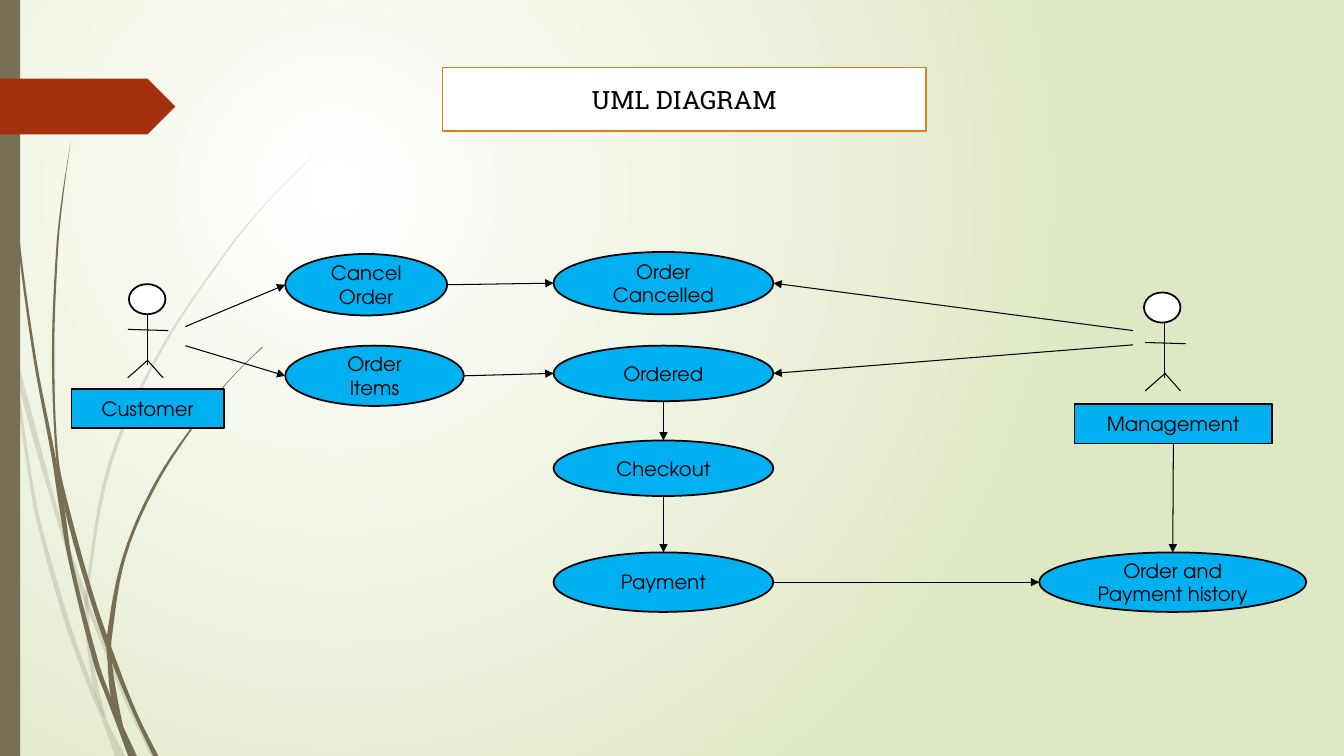
from dataclasses import dataclass

from lxml.etree import SubElement
from pptx import Presentation
from pptx.dml.color import RGBColor as Rgb
from pptx.enum.shapes import MSO_CONNECTOR as Connector, MSO_SHAPE as Shape
from pptx.enum.text import MSO_ANCHOR as Anchor, PP_ALIGN as Align
from pptx.oxml.ns import qn
from pptx.util import Cm, Pt


@dataclass(frozen=True)
class Theme:
    ink: str = "000000"
    paper: str = "FFFFFF"
    meadow: str = "DFE8C4"
    stem: str = "766F54"
    ribbon: str = "A53010"
    frame: str = "DE7E18"
    node: str = "00B0F0"
    title_font: str = "Roboto Slab"
    node_font: str = "TeX Gyre Adventor"
    title_size: int = 18
    node_size: int = 14
    outline: float = 1.25
    thin: float = 0.75


THEME = Theme()
TOP, LEFT, BOTTOM, RIGHT = range(4)

FAINT_BLADES = [
    [(7.16, 0, 0), (8.18, 0.13, 0.23), (8.89, 0.27, 0.3), (9.55, 0.36, 0.43),
     (11.94, 0.71, 0.79), (13.21, 0.94, 1.04), (15.75, 1.65, 1.78),
     (17.35, 2.24, 2.36), (18.14, 2.57, 2.69), (19.05, 2.9, 3.15)],
    [(8.76, 0.36, 0.36), (9.55, 0.43, 0.57), (13.23, 1.47, 1.57),
     (14.99, 2.06, 2.18), (15.44, 2.24, 2.34), (17.6, 3.12, 3.23),
     (19.05, 3.81, 3.94)],
    [(3.89, 7.92, 7.92), (4.45, 7.34, 7.37), (5, 6.81, 6.83), (6.22, 5.77, 5.82),
     (8.84, 4.01, 4.08), (11.71, 2.72, 2.81), (14.83, 2.16, 2.24),
     (15.49, 2.13, 2.24), (16.41, 2.21, 2.31), (17.35, 2.36, 2.48),
     (18.06, 2.59, 2.67)],
]
DARK_BLADES = [
    [(0, 0.08, 0.1), (1.22, 0.1, 0.13), (2.79, 0.18, 0.2), (5.92, 0.43, 0.48),
     (9.02, 0.84, 0.91), (11.51, 1.3, 1.4), (12.83, 1.5, 1.63),
     (14.15, 1.73, 1.83), (16.71, 2.36, 2.49), (17.55, 2.67, 2.79),
     (18.29, 2.95, 3.1), (19.05, 3.23, 3.45)],
    [(3.58, 1.78, 1.78), (4.9, 1.57, 1.6), (6.22, 1.42, 1.47),
     (8.86, 1.31, 1.37), (11.51, 1.41, 1.47), (12.83, 1.63, 1.75),
     (15.01, 2.24, 2.36), (16.48, 2.74, 2.87), (17.96, 3.35, 3.45),
     (19.05, 3.86, 3.99)],
    [(8.74, 6.6, 6.63), (9.47, 5.87, 5.89), (10.29, 5.18, 5.22),
     (12.07, 3.95, 4.03), (14, 3.1, 3.18), (16.05, 2.69, 2.82),
     (16.66, 2.71, 2.82), (17.55, 2.79, 2.95), (18.29, 3.02, 3.1)],
]


def paint_background(page):
    fill = page.background.fill
    fill.gradient()
    for stop, color in zip(fill.gradient_stops, (THEME.paper, THEME.meadow)):
        stop.color.rgb = Rgb.from_string(color)
    gradient = page.background._cSld.find(".//" + qn("a:gradFill"))
    gradient.remove(gradient.find(qn("a:lin")))
    circle = SubElement(gradient, qn("a:path"), path="circle")
    SubElement(circle, qn("a:fillToRect"), l="50000", t="50000", r="100000", b="100000")


def style(shape, fill, line=None):
    shape.shadow.inherit = False
    shape.fill.solid()
    shape.fill.fore_color.rgb = Rgb.from_string(fill)
    if line:
        shape.line.color.rgb = Rgb.from_string(line)
        shape.line.width = Pt(THEME.outline)
    else:
        shape.line.fill.background()


def smooth(rows, steps=6):
    padded = [rows[0], *rows, rows[-1]]
    for before, start, end, after in zip(padded, padded[1:], padded[2:], padded[3:]):
        slope_in = [(e - b) / (end[0] - before[0]) for b, e in zip(before, end)]
        slope_out = [(a - s) / (after[0] - start[0]) for s, a in zip(start, after)]
        height = end[0] - start[0]
        for step in range(steps):
            t = step / steps
            yield [
                (2 * t**3 - 3 * t**2 + 1) * s + (3 * t**2 - 2 * t**3) * e
                + height * ((t**3 - 2 * t**2 + t) * m + (t**3 - t**2) * n)
                for s, e, m, n in zip(start, end, slope_in, slope_out)
            ]
    yield rows[-1]


def add_blade(page, rows, opacity=100):
    curve = list(smooth(rows))
    outline = [(Cm(left), Cm(y)) for y, left, right in curve]
    outline += [(Cm(right), Cm(y)) for y, left, right in reversed(curve)]
    builder = page.shapes.build_freeform(*outline[0])
    builder.add_line_segments(outline[1:], close=True)
    blade = builder.convert_to_shape()
    style(blade, THEME.stem)
    if opacity < 100:
        color = blade._element.spPr.find(".//" + qn("a:srgbClr"))
        SubElement(color, qn("a:alpha"), val=str(opacity * 1000))


def add_form(page, kind, left, top, width, height, fill, line=None):
    form = page.shapes.add_shape(kind, Cm(left), Cm(top), Cm(width), Cm(height))
    style(form, fill, line)
    return form


def write(shape, text, font=THEME.node_font, size=THEME.node_size, color=THEME.ink):
    frame = shape.text_frame
    frame.word_wrap = True
    frame.vertical_anchor = Anchor.MIDDLE
    para = frame.paragraphs[0]
    para.alignment = Align.CENTER
    span = para.add_run()
    span.text = text
    span.font.name = font
    span.font.size = Pt(size)
    span.font.color.rgb = Rgb.from_string(color)


def add_node(page, text, left, top, width, height, kind=Shape.OVAL):
    node = add_form(page, kind, left, top, width, height, THEME.node, THEME.ink)
    write(node, text)
    return node


def add_line(page, start, end, arrow=False):
    line = page.shapes.add_connector(Connector.STRAIGHT, *start, *end)
    line.line.color.rgb = Rgb.from_string(THEME.ink)
    line.line.width = Pt(THEME.thin)
    if arrow:
        SubElement(line.line._get_or_add_ln(), qn("a:tailEnd"), type="triangle")
    SubElement(line._element.spPr, qn("a:effectLst"))
    return line


def side_point(shape, side):
    x = {LEFT: 0, RIGHT: shape.width}.get(side, shape.width // 2)
    y = {TOP: 0, BOTTOM: shape.height}.get(side, shape.height // 2)
    return shape.left + x, shape.top + y


def can_join(shape, side):
    return side == TOP or shape.auto_shape_type == Shape.RECTANGLE


def link(page, source, source_side, target, target_side):
    arrow = add_line(page, side_point(source, source_side),
                     side_point(target, target_side), arrow=True)
    if can_join(source, source_side):
        arrow.begin_connect(source, source_side)
    if can_join(target, target_side):
        arrow.end_connect(target, target_side)


def add_actor(page, left, top, shift_x=0, shift_y=0):
    add_form(page, Shape.OVAL, left, top, 0.92, 0.76, THEME.paper, THEME.ink)
    x, y = left + shift_x, top + shift_y
    neck = (0.46, 0.76 - shift_y)
    limbs = [(neck, (0.46, 2.03)), ((-0.03, 2.36), (0.48, 1.91)),
             ((0.46, 1.91), (0.86, 2.36)), ((-0.03, 1.14), (0.99, 1.17))]
    for limb in limbs:
        add_line(page, *[(Cm(x + dx), Cm(y + dy)) for dx, dy in limb])


def main():
    deck = Presentation()
    deck.slide_width, deck.slide_height = Cm(33.87), Cm(19.05)
    page = deck.slides.add_slide(deck.slide_layouts[6])
    paint_background(page)
    for rows in FAINT_BLADES:
        add_blade(page, rows, opacity=20)
    for rows in DARK_BLADES:
        add_blade(page, rows)
    add_form(page, Shape.RECTANGLE, 0, 0, 0.51, 19.05, THEME.stem)
    add_form(page, Shape.PENTAGON, 0, 1.98, 4.42, 1.41, THEME.ribbon)
    title = add_form(page, Shape.RECTANGLE, 11.15, 1.7, 12.19, 1.6, THEME.paper, THEME.frame)
    write(title, "UML DIAGRAM", font=THEME.title_font, size=THEME.title_size)

    add_actor(page, 3.25, 7.16)
    add_actor(page, 28.83, 7.37, shift_x=0.06, shift_y=0.12)
    add_node(page, "Customer", 1.8, 9.8, 3.84, 0.99, Shape.RECTANGLE)
    management = add_node(page, "Management", 27.08, 10.19, 4.98, 0.99, Shape.RECTANGLE)
    cancel = add_node(page, "Cancel Order", 7.19, 6.4, 4.08, 1.55)
    items = add_node(page, "Order Items", 7.19, 8.71, 4.5, 1.52)
    cancelled, ordered, checkout, payment = [
        add_node(page, text, 13.95, top, 5.54, height)
        for text, top, height in (("Order Cancelled", 6.35, 1.57), ("Ordered", 8.71, 1.4),
                                  ("Checkout", 11.1, 1.4), ("Payment", 13.92, 1.5))
    ]
    history = add_node(page, "Order and Payment history", 26.19, 13.92, 6.73, 1.5)

    for x, y, target, side in ((4.67, 8.23, cancel, LEFT), (4.67, 8.71, items, LEFT),
                               (28.55, 8.33, cancelled, RIGHT), (28.55, 8.69, ordered, RIGHT)):
        add_line(page, (Cm(x), Cm(y)), side_point(target, side), arrow=True)
    for source, target in ((cancel, cancelled), (items, ordered), (payment, history)):
        link(page, source, RIGHT, target, LEFT)
    for source, target in ((ordered, checkout), (checkout, payment), (management, history)):
        link(page, source, BOTTOM, target, TOP)
    deck.save("out.pptx")


if __name__ == "__main__":
    main()
